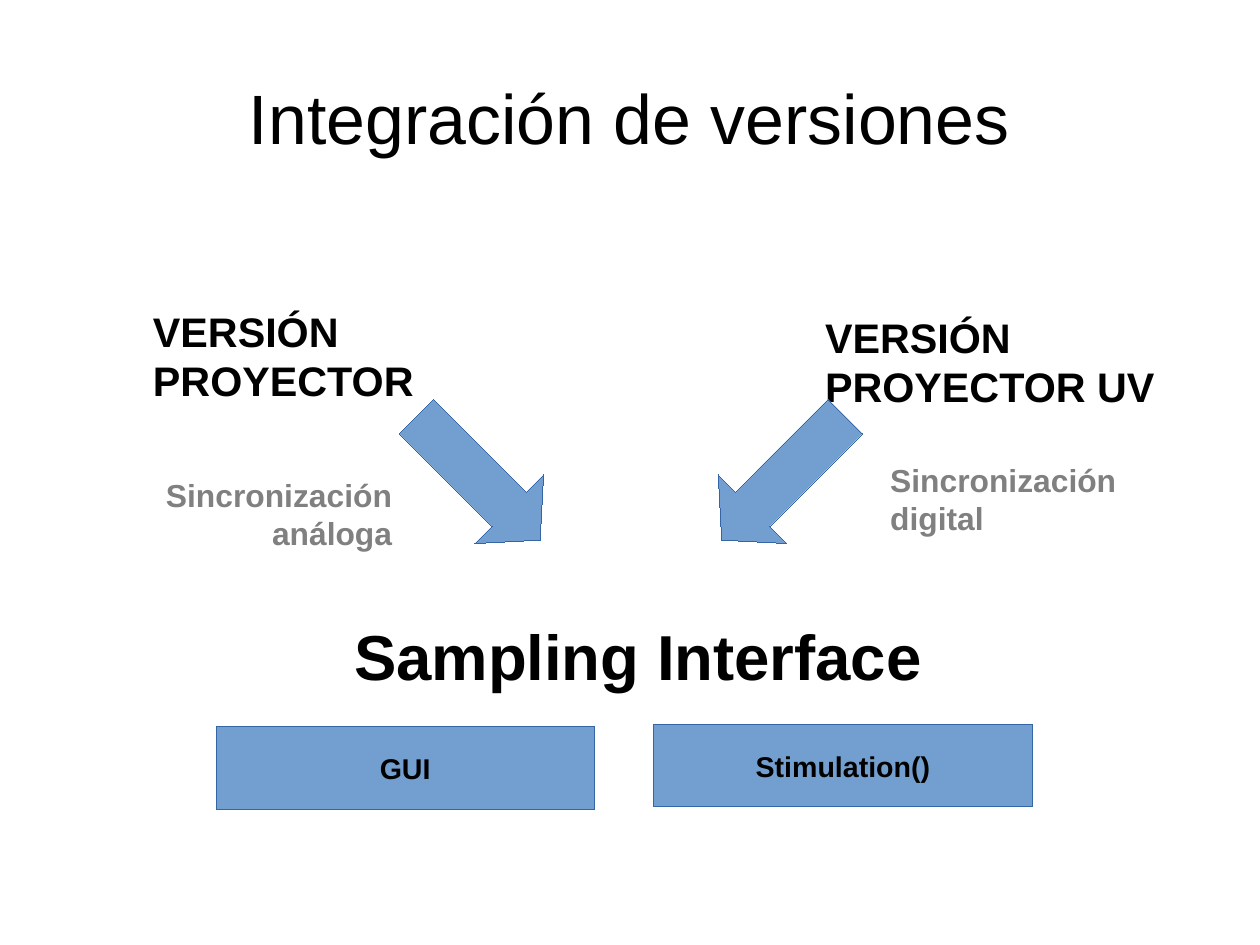
from dataclasses import dataclass

from pptx import Presentation
from pptx.dml.color import RGBColor
from pptx.enum import shapes, text
from pptx.shapes.autoshape import Shape
from pptx.slide import Slide
from pptx.text.text import TextFrame
from pptx.util import Cm, Inches, Pt

BLACK = RGBColor(0x00, 0x00, 0x00)
GRAY = RGBColor(0x80, 0x80, 0x80)
BLUE = RGBColor(0x72, 0x9F, 0xCF)
DARK_BLUE = RGBColor(0x34, 0x65, 0xA4)
LEFT, CENTER, RIGHT = text.PP_ALIGN.LEFT, text.PP_ALIGN.CENTER, text.PP_ALIGN.RIGHT
HAIRLINE = Pt(0.01)
ARROW_SIZE = (1.53, 0.85)
MODULE_SIZE = (3.31, 0.72)


@dataclass(frozen=True)
class Label:
    wording: str
    box: tuple[float, float, float, float]
    size: int
    color: RGBColor = BLACK
    align: text.PP_ALIGN = LEFT


@dataclass(frozen=True)
class Arrow:
    left: float
    top: float
    rotation: int


@dataclass(frozen=True)
class Module:
    wording: str
    left: float
    top: float


LABELS = (
    Label("VERSIÓN PROYECTOR", (1.24, 2.63, 2.6, 0.91), 26),
    Label("VERSIÓN PROYECTOR UV", (7.12, 2.68, 3.23, 0.91), 26),
    Label("Sampling Interface", (3, 5.35, 5.2, 0.72), 40),
    Label("Sincronización análoga", (0.93, 4.11, 2.6, 0.73), 20, GRAY, RIGHT),
    Label("Sincronización digital", (7.69, 3.98, 2.6, 0.73), 20, GRAY),
)
ARROWS = (Arrow(3.42, 3.76, 45), Arrow(6.09, 3.76, 135))
MODULES = (Module("GUI", 1.89, 6.36), Module("Stimulation()", 5.72, 6.34))


def write(frame: TextFrame, wording: str, size: int, color: RGBColor,
          align: text.PP_ALIGN, bold: bool = True) -> None:
    paragraph = frame.paragraphs[0]
    paragraph.alignment = align
    run = paragraph.add_run()
    run.text = wording
    run.font.name = "Arial"
    run.font.size = Pt(size)
    run.font.bold = bold
    run.font.color.rgb = color


def add_title(slide: Slide, wording: str) -> None:
    title = slide.shapes.title
    title.left, title.top = Inches(0.55), Inches(0.33)
    title.width, title.height = Inches(9.92), Inches(1.38)
    frame = title.text_frame
    frame.margin_left = frame.margin_right = frame.margin_top = frame.margin_bottom = 0
    frame.vertical_anchor = text.MSO_ANCHOR.MIDDLE
    write(frame, wording, 44, BLACK, CENTER, bold=False)


def add_label(slide: Slide, label: Label) -> None:
    frame = slide.shapes.add_textbox(*map(Inches, label.box)).text_frame
    frame.word_wrap = True
    write(frame, label.wording, label.size, label.color, label.align)


def add_blue_shape(slide: Slide, kind: shapes.MSO_SHAPE, left: float, top: float,
                   size: tuple[float, float]) -> Shape:
    shape = slide.shapes.add_shape(kind, *map(Inches, (left, top, *size)))
    shape.shadow.inherit = False
    shape.fill.solid()
    shape.fill.fore_color.rgb = BLUE
    shape.line.color.rgb = DARK_BLUE
    shape.line.width = HAIRLINE
    return shape


def add_arrow(slide: Slide, arrow: Arrow) -> None:
    shape = add_blue_shape(slide, shapes.MSO_SHAPE.RIGHT_ARROW, arrow.left, arrow.top, ARROW_SIZE)
    shape.adjustments[0] = 0.5
    shape.adjustments[1] = 0.45
    shape.rotation = arrow.rotation


def add_module(slide: Slide, module: Module) -> None:
    shape = add_blue_shape(slide, shapes.MSO_SHAPE.RECTANGLE, module.left, module.top, MODULE_SIZE)
    frame = shape.text_frame
    frame.word_wrap = False
    frame.vertical_anchor = text.MSO_ANCHOR.MIDDLE
    write(frame, module.wording, 18, BLACK, CENTER)


def main() -> None:
    presentation = Presentation()
    presentation.slide_width = Cm(28)
    presentation.slide_height = Cm(21)
    slide = presentation.slides.add_slide(presentation.slide_layouts.get_by_name("Title Only"))
    add_title(slide, "Integración de versiones")
    for label in LABELS:
        add_label(slide, label)
    for arrow in ARROWS:
        add_arrow(slide, arrow)
    for module in MODULES:
        add_module(slide, module)
    presentation.save("out.pptx")


if __name__ == "__main__":
    main()
